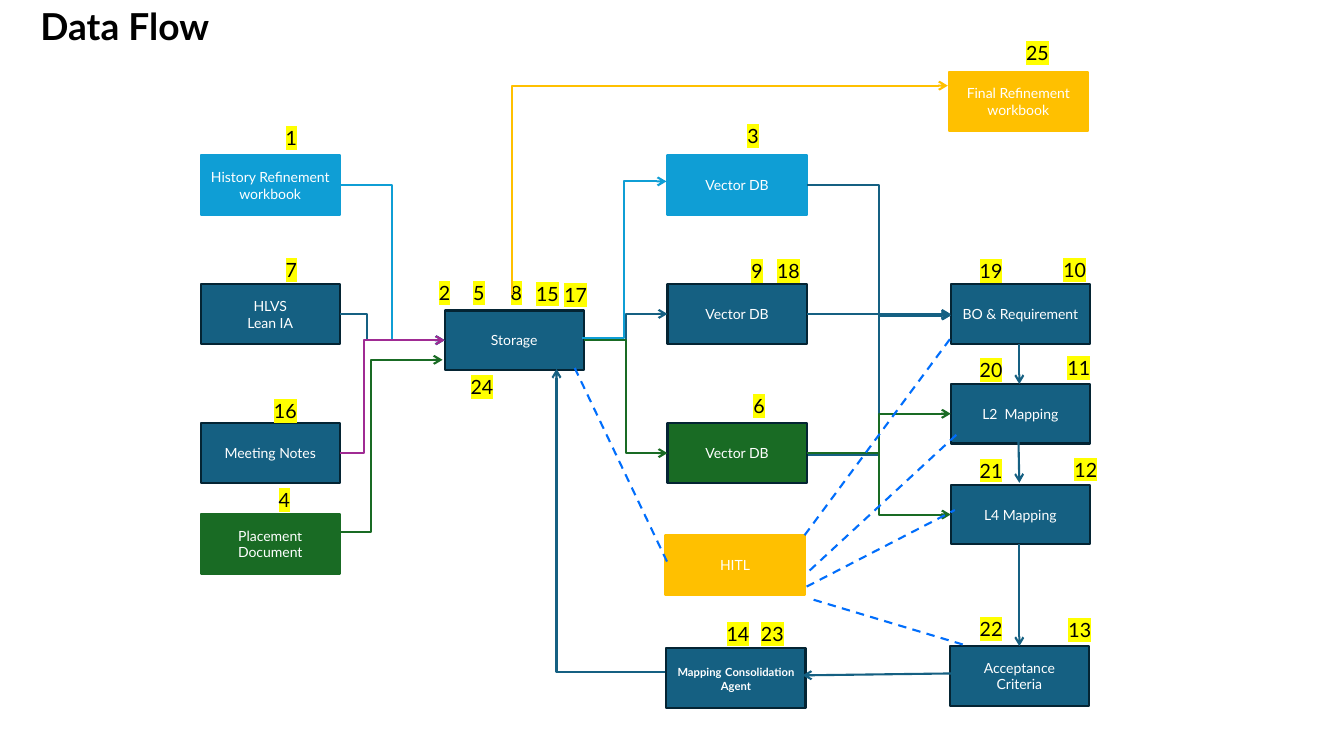
"""Build the Data Flow slide on a grid of tenth-of-an-inch columns and rows."""
from dataclasses import dataclass

from lxml.etree import SubElement
from pptx import Presentation
from pptx.dml.color import RGBColor
from pptx.enum.dml import MSO_LINE
from pptx.enum.shapes import MSO_CONNECTOR as Route, MSO_SHAPE as Preset
from pptx.enum.text import MSO_ANCHOR as Anchor, MSO_AUTO_SIZE as AutoSize, PP_ALIGN as Align
from pptx.oxml.ns import qn
from pptx.util import Inches, Pt

FONT = "Lato"
BOX_WIDTH, BOX_HEIGHT = 13.8, 5.9
BADGE_WIDTH, BADGE_HEIGHT = 7, 3.4
INK, WHITE, MARKER = "000000", "FFFFFF", "FFFF00"
SKY, TEAL, NAVY = "0F9ED5", "156082", "042433"
GREEN, AMBER, PURPLE, BLUE = "196B24", "FFC000", "A02B93", "006EFC"
Point = tuple[float, float]


@dataclass(frozen=True)
class Span:
    text: str
    size: float = 10
    bold: bool = False


@dataclass(frozen=True)
class Box:
    left: float
    top: float
    paras: tuple[tuple[Span, ...], ...]
    fill: str = TEAL
    edge: str = NAVY

    def at(self, across: float, down: float) -> Point:
        """Return the point at these shares of the box's width and height."""
        return self.left + across * BOX_WIDTH, self.top + down * BOX_HEIGHT


@dataclass(frozen=True)
class Badge:
    label: str
    left: float
    top: float


@dataclass(frozen=True)
class Link:
    start: Point
    end: Point
    color: str = TEAL
    shape: str = "line"
    bend: float = 0.5
    dashed: bool = False


def plain(*lines: str) -> tuple[tuple[Span, ...], ...]:
    """Return one plain paragraph for each line."""
    return tuple((Span(line),) for line in lines)


def grid(cells: float) -> int:
    """Return the length of a number of grid cells."""
    return Inches(cells / 10)


def rgb(value: str) -> RGBColor:
    """Return the colour of a hex string."""
    return RGBColor.from_string(value)


def add_text(para, text: str, *, size: float = 10, bold: bool = False,
             color: str = WHITE, align=Align.CENTER, highlight: str = "") -> None:
    """Add a formatted span to a paragraph."""
    para.alignment = align
    span = para.add_run()
    span.text = text
    span.font.size, span.font.bold, span.font.name = Pt(size), bold, FONT
    span.font.color.rgb = rgb(color)
    if highlight:
        properties = span.font._element
        mark = SubElement(properties, qn("a:highlight"))
        SubElement(mark, qn("a:srgbClr"), val=highlight)
        properties.find(qn("a:latin")).addprevious(mark)


def draw_title(page, text: str) -> None:
    """Place the slide title."""
    title = page.shapes.title
    title.left, title.top, title.width, title.height = map(grid, (3, 1.8, 126.4, 3.5))
    frame = title.text_frame
    frame.auto_size, frame.word_wrap, frame.vertical_anchor = AutoSize.NONE, True, Anchor.BOTTOM
    frame.paragraphs[0].line_spacing = 0.9
    add_text(frame.paragraphs[0], text, size=26.5, bold=True, color=INK, align=Align.LEFT)


def draw_box(page, box: Box) -> None:
    """Draw one step of the flow."""
    shape = page.shapes.add_shape(
        Preset.RECTANGLE, *map(grid, (box.left, box.top, BOX_WIDTH, BOX_HEIGHT)))
    shape.shadow.inherit = False
    shape.fill.solid()
    shape.fill.fore_color.rgb = rgb(box.fill)
    shape.line.color.rgb, shape.line.width = rgb(box.edge), Pt(1.5)
    frame = shape.text_frame
    frame.word_wrap, frame.vertical_anchor = True, Anchor.MIDDLE
    for index, spans in enumerate(box.paras):
        para = frame.add_paragraph() if index else frame.paragraphs[0]
        for span in spans:
            add_text(para, span.text, size=span.size, bold=span.bold)


def draw_badge(page, badge: Badge) -> None:
    """Draw one highlighted step number."""
    frame = page.shapes.add_textbox(
        *map(grid, (badge.left, badge.top, BADGE_WIDTH, BADGE_HEIGHT))).text_frame
    frame.word_wrap, frame.auto_size = True, AutoSize.SHAPE_TO_FIT_TEXT
    add_text(frame.paragraphs[0], badge.label, size=14, color=INK, highlight=MARKER)


def draw_link(page, link: Link) -> None:
    """Draw a straight, stepped or cornered connector."""
    (x1, y1), (x2, y2) = link.start, link.end
    if link.shape == "rise":
        middle_x, middle_y, run, drop = (x1 + x2) / 2, (y1 + y2) / 2, (x2 - x1) / 2, (y2 - y1) / 2
        x1, y1, x2, y2 = middle_x - drop, middle_y + run, middle_x + drop, middle_y - run
    route = Route.STRAIGHT if link.shape == "line" else Route.ELBOW
    connector = page.shapes.add_connector(route, *map(grid, (x1, y1, x2, y2)))
    connector.line.color.rgb, connector.line.width = rgb(link.color), Pt(1.5)
    properties = connector._element.spPr
    geometry = properties.find(qn("a:prstGeom"))
    if link.shape == "step":
        SubElement(geometry.find(qn("a:avLst")), qn("a:gd"),
                   name="adj1", fmla=f"val {round(link.bend * 100000)}")
    elif link.shape in ("corner", "rise"):
        geometry.set("prst", "bentConnector2")
    if link.shape == "rise":
        properties.find(qn("a:xfrm")).set("rot", "5400000")
    if link.dashed:
        connector.line.dash_style = MSO_LINE.DASH
    else:
        SubElement(properties.find(qn("a:ln")), qn("a:tailEnd"), type="arrow")
    SubElement(properties, qn("a:effectLst"))


HISTORY = Box(19.9, 15.4, plain("History Refinement workbook"), SKY, SKY)
HLVS = Box(19.9, 28.2, plain("HLVS", "Lean IA"))
NOTES = Box(19.9, 42, plain("Meeting Notes"))
PLACEMENT = Box(19.9, 51, plain("Placement Document"), GREEN, GREEN)
STORAGE = Box(44.1, 30.8, plain("Storage"))
SKY_DB = Box(66.2, 15.4, plain("Vector DB"), SKY, SKY)
TEAL_DB = Box(66.2, 28.2, plain("Vector DB"))
GREEN_DB = Box(66.2, 42, plain("Vector DB"), GREEN)
HITL = Box(66, 53.1, plain("HITL"), AMBER, AMBER)
AGENT = Box(66.1, 64.3, ((Span("Mapping", 8, True), Span(" "),
                          Span("Consolidation Agent", 8, True)),))
FINAL = Box(94.1, 7.1, plain("Final Refinement workbook"), AMBER, AMBER)
REQUIREMENT = Box(94.3, 28.2, plain("BO & Requirement"))
L2 = Box(94.3, 38.1, plain("L2  Mapping"))
L4 = Box(94.3, 48.1, plain("L4 Mapping"))
CRITERIA = Box(94.2, 64.1, plain("Acceptance Criteria"))
BOXES = (HISTORY, HLVS, NOTES, PLACEMENT, STORAGE, SKY_DB, TEAL_DB, GREEN_DB,
         HITL, AGENT, FINAL, REQUIREMENT, L2, L4, CRITERIA)

BADGES = [Badge(*row) for row in (
    ("1", 25.4, 12), ("7", 25.4, 25.1), ("16", 24.8, 39.1), ("4", 24.7, 47.9),
    ("2", 40.6, 27.4), ("5", 44, 27.4), ("8", 47.7, 27.4), ("15", 50.8, 27.5),
    ("17", 53.6, 27.6), ("24", 44.3, 36.7), ("3", 71.2, 11.8), ("9", 71.6, 25.2),
    ("18", 74.7, 25.2), ("6", 71.8, 38.6), ("14", 69.7, 61.2), ("23", 73.1, 61.2),
    ("25", 99.4, 3.6), ("19", 94.8, 25.2), ("10", 103.1, 25.1), ("20", 94.8, 35),
    ("11", 103.5, 34.8), ("21", 94.8, 45), ("12", 104.2, 44.9), ("22", 94.8, 60.7),
    ("13", 103.6, 60.8))]

LINKS = [
    Link(HISTORY.at(1, 0.5), STORAGE.at(0, 0.5), SKY, "step"),
    Link(HLVS.at(1, 0.5), STORAGE.at(0, 0.5), TEAL, "step", 0.26),
    Link(NOTES.at(1, 0.5), STORAGE.at(0, 0.5), PURPLE, "step", 0.23),
    Link((29.7, 52.8), (43.9, 35.7), GREEN, "step"),
    Link((57.7, 33.5), (66.1, 18), SKY, "step"),
    Link(STORAGE.at(1, 0.5), TEAL_DB.at(0, 0.5), TEAL, "step"),
    Link(STORAGE.at(1, 0.5), GREEN_DB.at(0, 0.5), GREEN, "step"),
    Link((66, 66.7), (55.2, 36.6), TEAL, "corner"),
    Link(SKY_DB.at(1, 0.5), REQUIREMENT.at(0, 0.5), TEAL, "step"),
    Link(TEAL_DB.at(1, 0.5), (94.3, 31.3), TEAL, "step"),
    Link((80.1, 45.1), (94.3, 31.3), TEAL, "step"),
    Link(GREEN_DB.at(1, 0.5), L2.at(0, 0.5), GREEN, "step"),
    Link(GREEN_DB.at(1, 0.5), L4.at(0, 0.5), GREEN, "step"),
    Link((101.1, 34.1), (101.1, 38.1)),
    Link((101, 43.1), (101.1, 47.9)),
    Link((101.1, 54), (101.1, 64.1)),
    Link((95.2, 66.8), (79.6, 67)),
    Link((50.8, 29.3), (94, 8.5), AMBER, "rise"),
    *(Link(start, end, BLUE, dashed=True) for start, end in (
        ((79.8, 53.1), (94.4, 33.4)), ((80.3, 56.6), (95, 43)), ((80, 58.2), (94.7, 50.6)),
        ((80.7, 59.5), (95.7, 64)), ((57, 36.5), (66.2, 55.8))))]


def main() -> None:
    """Build and save the deck."""
    deck = Presentation()
    deck.slide_width, deck.slide_height = grid(133.3), grid(75)
    page = deck.slides.add_slide(deck.slide_layouts[5])
    draw_title(page, "Data Flow")
    for draw, items in ((draw_box, BOXES), (draw_badge, BADGES), (draw_link, LINKS)):
        for item in items:
            draw(page, item)
    deck.save("out.pptx")


if __name__ == "__main__":
    main()
